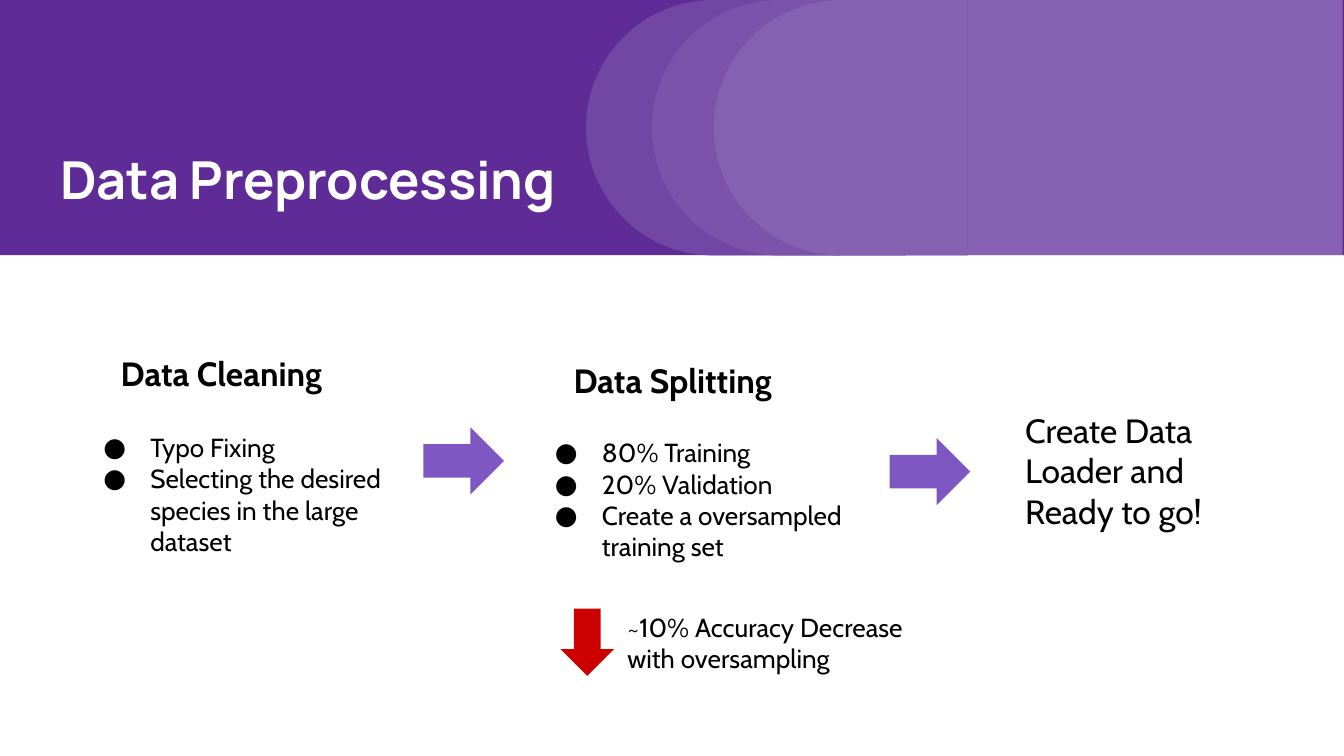
from typing import NamedTuple

from lxml.etree import SubElement
from pptx import Presentation
from pptx.dml.color import RGBColor
from pptx.enum.shapes import MSO_SHAPE
from pptx.enum.text import MSO_ANCHOR, PP_ALIGN
from pptx.oxml.ns import qn
from pptx.slide import Slide
from pptx.util import Emu, Pt

PX = 4572  # EMU per px, 200 px to the inch
SLIDE_SIZE = (2000, 1125)
INSET = 20
BULLET_INDENT, BULLET_HANG = 100, 70
BAND_HEIGHT = 380
COLORS = {
    "band": "5E2B97",
    "white": "FFFFFF",
    "ink": "000000",
    "flow": "7E57C2",
    "drop": "CC0000",
}


class Box(NamedTuple):
    left: int
    top: int
    width: int
    height: int


class Figure(NamedTuple):
    preset: MSO_SHAPE
    box: Box
    color: str
    opacity: int = 100
    rotation: int = 0


class Copy(NamedTuple):
    box: Box
    lines: tuple[str, ...]
    size: int = 14
    bold: bool = False
    bulleted: bool = False
    font: str = "Cabin"
    color: str = "ink"
    anchor: MSO_ANCHOR = MSO_ANCHOR.TOP


def to_emu(box: Box) -> list[Emu]:
    return [Emu(length * PX) for length in box]


def draw_figure(slide: Slide, figure: Figure) -> None:
    shape = slide.shapes.add_shape(figure.preset, *to_emu(figure.box))
    shape.shadow.inherit = False
    shape.rotation = figure.rotation
    shape.line.fill.background()
    shape.fill.solid()
    shape.fill.fore_color.rgb = RGBColor.from_string(COLORS[figure.color])
    if figure.opacity < 100:
        color = shape._element.spPr.find(f"{qn('a:solidFill')}/{qn('a:srgbClr')}")
        SubElement(color, qn("a:alpha"), val=str(figure.opacity * 1000))


def add_bullet(paragraph, color: str) -> None:
    properties = paragraph._p.get_or_add_pPr()
    properties.set("marL", str(BULLET_INDENT * PX))
    properties.set("indent", str(-BULLET_HANG * PX))
    bullet_color = SubElement(properties, qn("a:buClr"))
    SubElement(bullet_color, qn("a:srgbClr"), val=COLORS[color])
    SubElement(properties, qn("a:buFont"), typeface="Cabin")
    SubElement(properties, qn("a:buChar"), char="●")


def draw_copy(slide: Slide, copy: Copy) -> None:
    frame = slide.shapes.add_textbox(*to_emu(copy.box)).text_frame
    frame_format = {"word_wrap": True, "vertical_anchor": copy.anchor}
    for side in ("left", "top", "right", "bottom"):
        frame_format[f"margin_{side}"] = Emu(INSET * PX)
    for name, value in frame_format.items():
        setattr(frame, name, value)

    font_format = {"name": copy.font, "size": Pt(copy.size), "bold": copy.bold}
    for index, line in enumerate(copy.lines):
        paragraph = frame.add_paragraph() if index else frame.paragraphs[0]
        paragraph.alignment = PP_ALIGN.LEFT
        if copy.bulleted:
            add_bullet(paragraph, copy.color)
        run = paragraph.add_run()
        run.text = line
        for name, value in font_format.items():
            setattr(run.font, name, value)
        run.font.color.rgb = RGBColor.from_string(COLORS[copy.color])


def draw_header(slide: Slide) -> None:
    band = Box(0, 0, SLIDE_SIZE[0], BAND_HEIGHT)
    draw_figure(slide, Figure(MSO_SHAPE.RECTANGLE, band, "band"))
    tint = Box(1432, 0, 566, BAND_HEIGHT)
    draw_figure(slide, Figure(MSO_SHAPE.RECTANGLE, tint, "white", 25))
    for left, opacity in ((872, 13), (970, 19), (1062, 25)):
        arc = Box(left, 0, 378, BAND_HEIGHT)
        for color, strength in (("band", 100), ("white", opacity)):
            draw_figure(
                slide,
                Figure(MSO_SHAPE.FLOWCHART_DELAY, arc, color, strength, rotation=180),
            )


ARROWS = (
    Figure(MSO_SHAPE.RIGHT_ARROW, Box(630, 636, 120, 100), "flow"),
    Figure(MSO_SHAPE.RIGHT_ARROW, Box(1324, 652, 120, 100), "flow"),
    Figure(MSO_SHAPE.DOWN_ARROW, Box(834, 906, 80, 100), "drop"),
)
COPIES = (
    Copy(Box(70, 32, 778, 300), ("Data Preprocessing",), 28, True,
         font="Manrope", color="white", anchor=MSO_ANCHOR.BOTTOM),
    Copy(Box(160, 506, 408, 100), ("Data Cleaning",), 18, True),
    Copy(Box(104, 622, 522, 228),
         ("Typo Fixing", "Selecting the desired species in the large dataset"),
         bulleted=True),
    Copy(Box(834, 516, 408, 100), ("Data Splitting",), 18, True),
    Copy(Box(776, 630, 522, 228),
         ("80% Training", "20% Validation", "Create a oversampled training set"),
         bulleted=True),
    Copy(Box(1506, 590, 408, 222), ("Create Data Loader and Ready to go!",), 18),
    Copy(Box(914, 890, 760, 134), ("~10% Accuracy Decrease", "with oversampling")),
)


def main() -> None:
    deck = Presentation()
    deck.slide_width, deck.slide_height = (Emu(side * PX) for side in SLIDE_SIZE)
    slide = deck.slides.add_slide(deck.slide_layouts[6])
    draw_header(slide)
    for arrow in ARROWS:
        draw_figure(slide, arrow)
    for copy in COPIES:
        draw_copy(slide, copy)
    deck.save("out.pptx")


if __name__ == "__main__":
    main()
